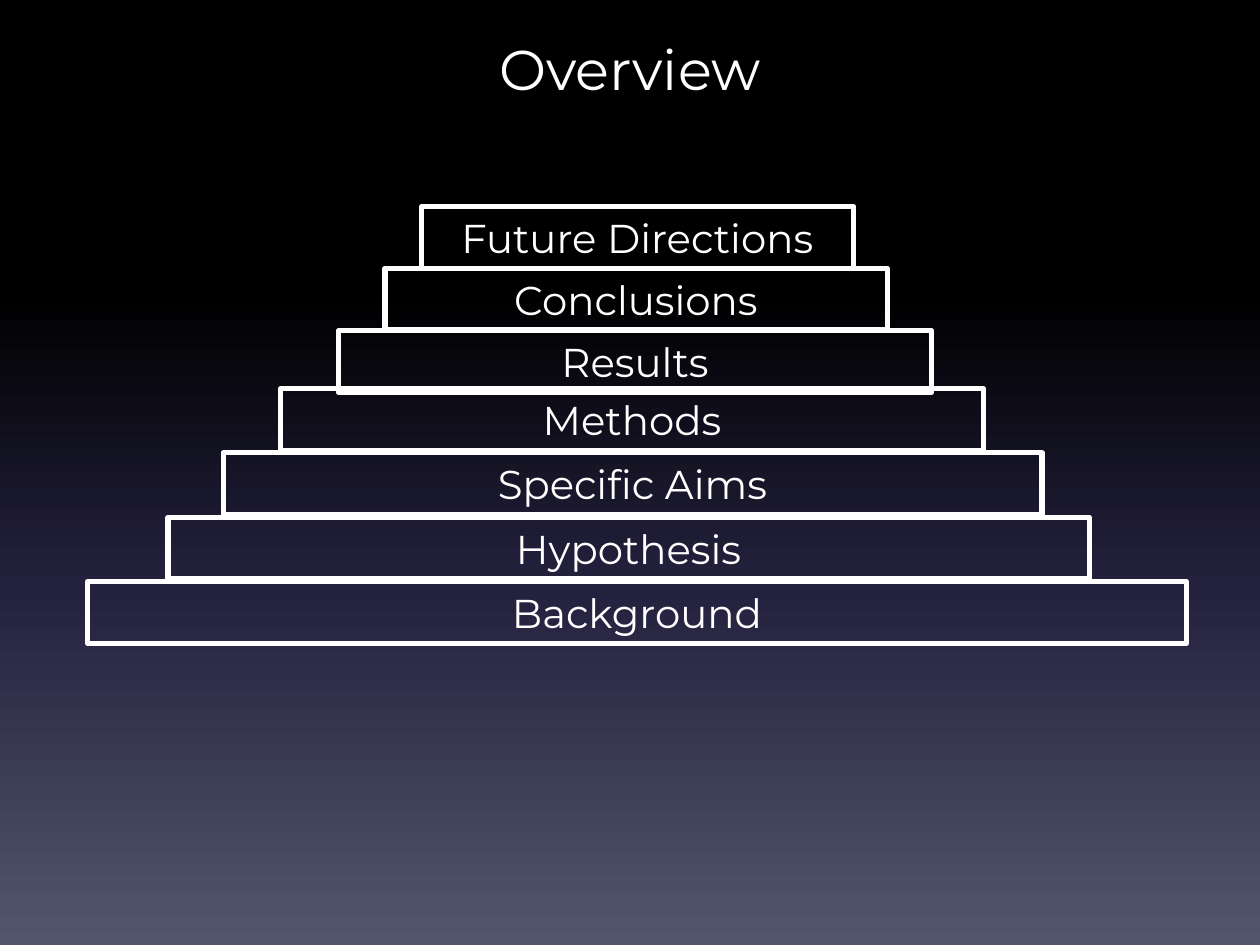
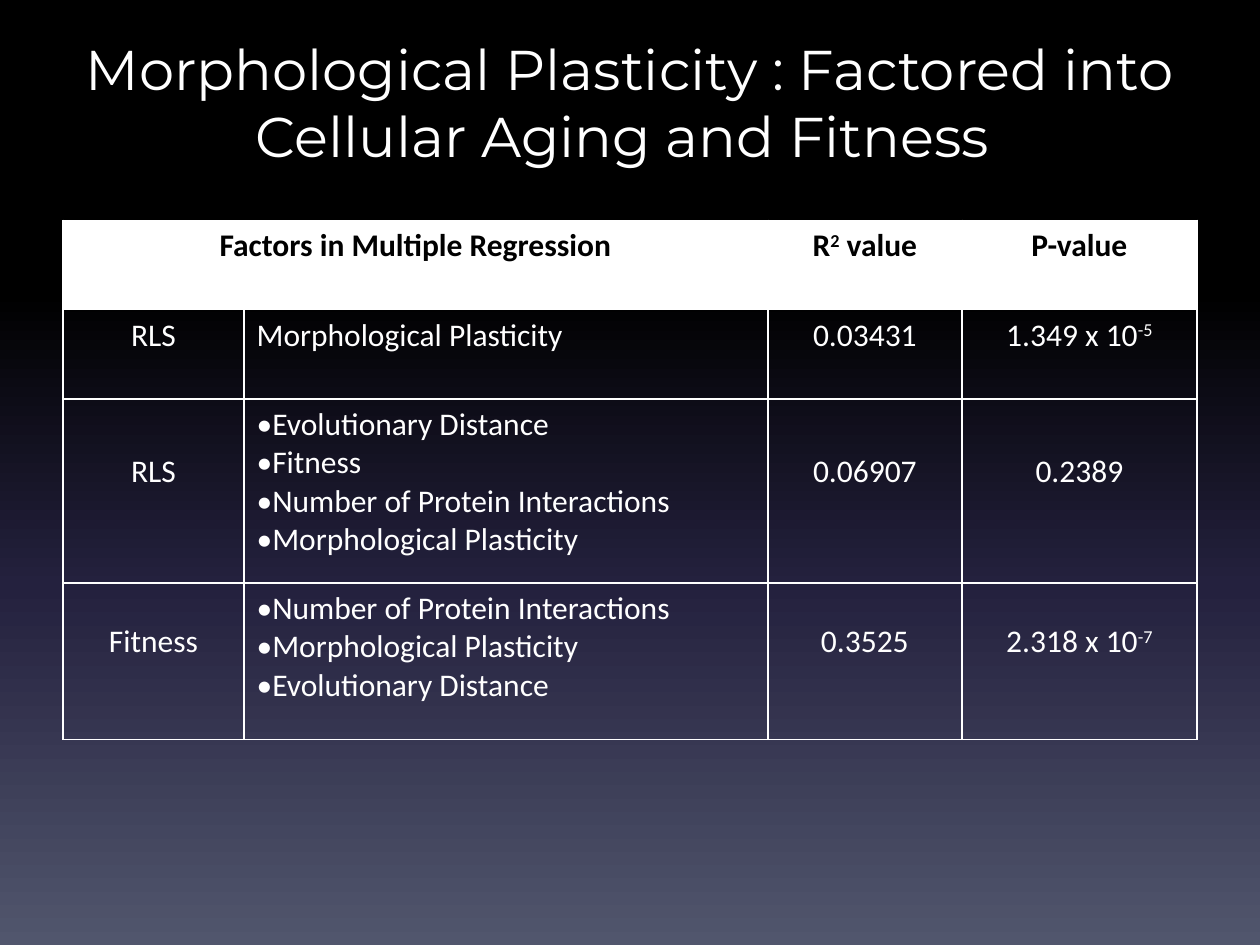
"""Build the overview pyramid and the regression table slides."""
from dataclasses import dataclass

from lxml.etree import SubElement
from pptx import Presentation
from pptx.dml.color import RGBColor
from pptx.enum.shapes import MSO_SHAPE
from pptx.enum.text import MSO_ANCHOR, MSO_AUTO_SIZE, PP_ALIGN
from pptx.oxml import parse_xml
from pptx.oxml.ns import nsdecls, qn
from pptx.presentation import Presentation as Deck
from pptx.slide import Slide, SlideMaster
from pptx.table import _Cell
from pptx.text.text import _Paragraph
from pptx.util import Cm, Pt

WHITE = "FFFFFF"
BLACK = "000000"
HEADING_FONT = "Montserrat"
TABLE_FONT = "Calibri"
BACKDROP = [(0, BLACK), (31, BLACK), (62, "24213E"), (100, "51566D")]
STEP_HEIGHT = 1.24
COLUMN_WIDTHS = [3.65, 10.56, 3.91, 4.74]
ROW_HEIGHTS = [1.68, 1.68, 3.71, 3.15]
VALUE_BOTTOM_MARGIN = 0.9


@dataclass(frozen=True)
class Step:
    """One level of the pyramid, in centimetres."""

    label: str
    left: float
    top: float
    width: float


@dataclass(frozen=True)
class Regression:
    """One table row; text between carets is superscript."""

    outcome: str
    factors: list[str]
    r_squared: str
    p_value: str


STEPS = [
    Step("Future Directions", 8.5, 4.17, 8.71),
    Step("Conclusions", 7.76, 5.41, 10.13),
    Step("Results", 6.83, 6.67, 11.95),
    Step("Methods", 5.66, 7.84, 14.17),
    Step("Specific Aims", 4.5, 9.13, 16.51),
    Step("Hypothesis", 3.39, 10.43, 18.57),
    Step("Background", 1.77, 11.73, 22.15),
]
DISTANCE = "Evolutionary Distance"
INTERACTIONS = "Number of Protein Interactions"
PLASTICITY = "Morphological Plasticity"
HEADER = Regression("Factors in Multiple Regression", [], "R^2^ value", "P-value")
REGRESSIONS = [
    Regression("RLS", [PLASTICITY], "0.03431", "1.349 x 10^-5^"),
    Regression("RLS", [DISTANCE, "Fitness", INTERACTIONS, PLASTICITY],
               "0.06907", "0.2389"),
    Regression("Fitness", [INTERACTIONS, PLASTICITY, DISTANCE],
               "0.3525", "2.318 x 10^-7^"),
]


def rgb(value: str) -> RGBColor:
    """Turn a hex string into a colour."""
    return RGBColor.from_string(value)


def write(paragraph: _Paragraph, text: str, font: str, size: float,
          colour: str = WHITE, bold: bool = False,
          align: PP_ALIGN = PP_ALIGN.CENTER) -> None:
    """Add formatted runs, raising the parts between carets."""
    paragraph.alignment = align
    for position, part in enumerate(text.split("^")):
        if not part:
            continue
        run = paragraph.add_run()
        run.text = part
        run.font.name = font
        run.font.size = Pt(size)
        run.font.bold = bold
        run.font.color.rgb = rgb(colour)
        if position % 2:
            run._r.get_or_add_rPr().set("baseline", "30000")


def paint_backdrop(master: SlideMaster) -> None:
    """Give the master the vertical gradient that all slides share."""
    fill = master.background.fill
    fill.gradient()
    fill.gradient_angle = 270
    stops = fill.gradient_stops._gsLst
    for stop in list(stops):
        stops.remove(stop)
    for percent, colour in BACKDROP:
        stops.append(parse_xml(
            f'<a:gs {nsdecls("a")} pos="{percent * 1000}">'
            f'<a:srgbClr val="{colour}"/></a:gs>'))


def add_titled_slide(deck: Deck, heading: str) -> Slide:
    """Add a slide with the shared title style."""
    slide = deck.slides.add_slide(deck.slide_layouts.get_by_name("Title Only"))
    title = slide.shapes.title
    title.left, title.top = Cm(1.27), Cm(0.56)
    title.width, title.height = Cm(22.86), Cm(3.18)
    frame = title.text_frame
    frame.vertical_anchor = MSO_ANCHOR.TOP
    frame.auto_size = MSO_AUTO_SIZE.NONE
    write(frame.paragraphs[0], heading, HEADING_FONT, 32)
    return slide


def draw_step(slide: Slide, step: Step) -> None:
    """Draw one outlined level of the pyramid."""
    box = slide.shapes.add_shape(
        MSO_SHAPE.RECTANGLE, Cm(step.left), Cm(step.top),
        Cm(step.width), Cm(STEP_HEIGHT))
    box.shadow.inherit = False
    box.fill.background()
    box.line.color.rgb = rgb(WHITE)
    box.line.width = Pt(3)
    SubElement(box.line._get_or_add_ln(), qn("a:round"))
    box.text_frame.auto_size = MSO_AUTO_SIZE.SHAPE_TO_FIT_TEXT
    write(box.text_frame.paragraphs[0], step.label, HEADING_FONT, 23)


def style_cell(cell: _Cell, is_header: bool) -> None:
    """Set the fill and the white borders of a cell."""
    if is_header:
        cell.fill.solid()
        cell.fill.fore_color.rgb = rgb(WHITE)
    else:
        cell.fill.background()
    properties = cell._tc.get_or_add_tcPr()
    for position, side in enumerate("LRTB"):
        properties.insert(position, parse_xml(
            f'<a:ln{side} {nsdecls("a")} w="{Pt(1)}"><a:solidFill>'
            f'<a:srgbClr val="{WHITE}"/></a:solidFill></a:ln{side}>'))


def fill_value(cell: _Cell, text: str, is_header: bool) -> None:
    """Write a centred cell, bold and black in the header."""
    cell.margin_bottom = Cm(VALUE_BOTTOM_MARGIN)
    cell.vertical_anchor = MSO_ANCHOR.TOP if is_header else MSO_ANCHOR.MIDDLE
    write(cell.text_frame.paragraphs[0], text, TABLE_FONT, 18,
          BLACK if is_header else WHITE, is_header)


def fill_factors(cell: _Cell, factors: list[str]) -> None:
    """List the factors, with bullets when there are several."""
    frame = cell.text_frame
    for position, factor in enumerate(factors):
        paragraph = frame.add_paragraph() if position else frame.paragraphs[0]
        write(paragraph, factor, TABLE_FONT, 18, align=PP_ALIGN.LEFT)
        if len(factors) > 1:
            properties = paragraph._p.get_or_add_pPr()
            SubElement(properties, qn("a:buFont"), typeface=TABLE_FONT)
            SubElement(properties, qn("a:buChar"), char="•")


def draw_regressions(slide: Slide) -> None:
    """Draw the table of regression results."""
    rows = [HEADER, *REGRESSIONS]
    table = slide.shapes.add_table(
        len(rows), len(COLUMN_WIDTHS), Cm(1.27), Cm(4.44),
        Cm(sum(COLUMN_WIDTHS)), Cm(sum(ROW_HEIGHTS))).table
    table.horz_banding = False
    table.first_row = False
    for column, width in zip(table.columns, COLUMN_WIDTHS):
        column.width = Cm(width)
    for row, height in zip(table.rows, ROW_HEIGHTS):
        row.height = Cm(height)
    table.cell(0, 0).merge(table.cell(0, 1))
    for row, regression in zip(table.rows, rows):
        is_header = regression is HEADER
        outcome, factors, r_squared, p_value = row.cells
        for cell in row.cells:
            style_cell(cell, is_header)
        fill_value(outcome, regression.outcome, is_header)
        fill_factors(factors, regression.factors)
        fill_value(r_squared, regression.r_squared, is_header)
        fill_value(p_value, regression.p_value, is_header)


def main() -> None:
    """Build and save both slides."""
    deck = Presentation()
    deck.slide_width, deck.slide_height = Cm(25.4), Cm(19.05)
    paint_backdrop(deck.slide_master)
    overview = add_titled_slide(deck, "Overview")
    for step in STEPS:
        draw_step(overview, step)
    draw_regressions(add_titled_slide(
        deck, "Morphological Plasticity : Factored into Cellular Aging and Fitness "))
    deck.save("out.pptx")


if __name__ == "__main__":
    main()
